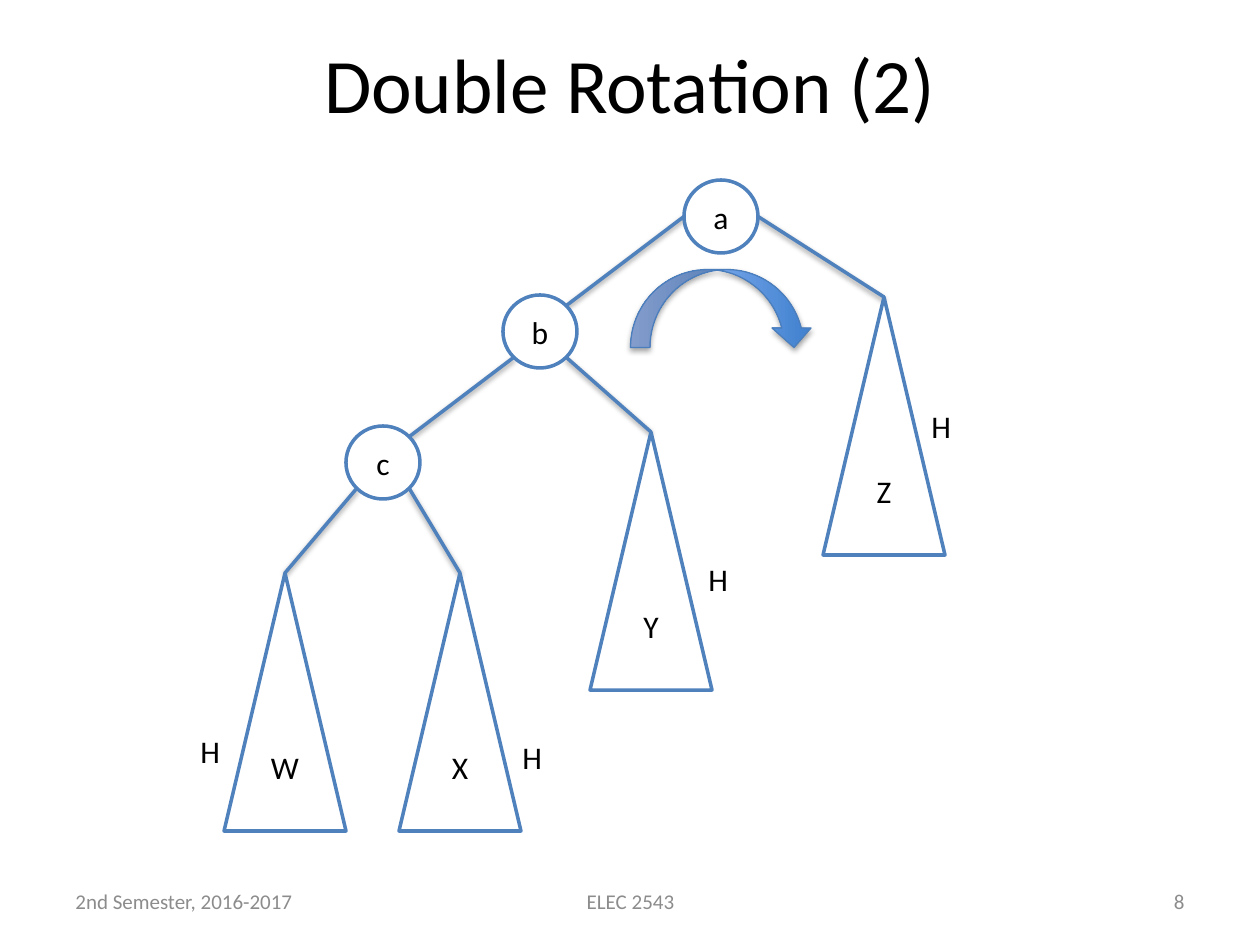
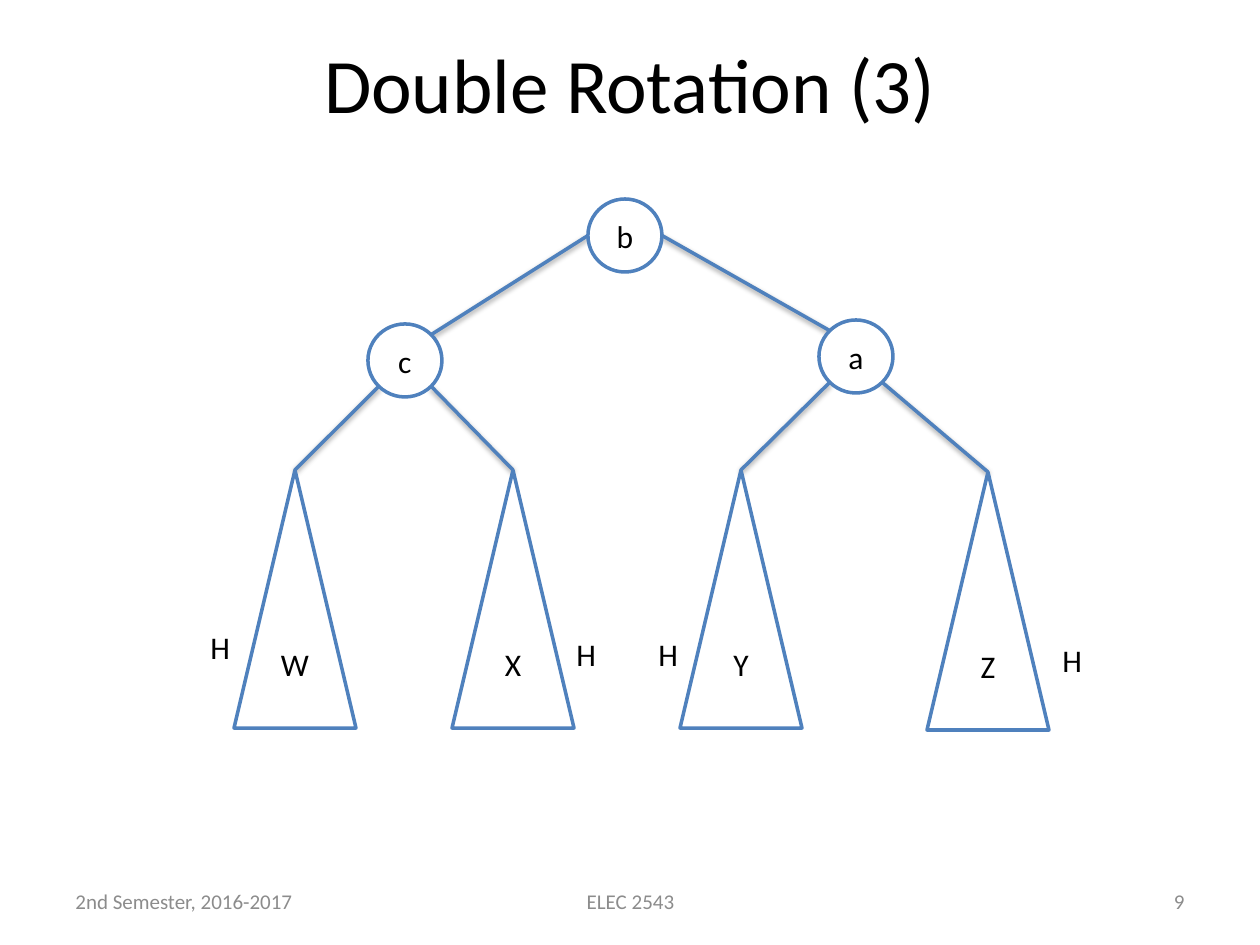
from math import sqrt

from lxml.etree import SubElement
from pptx import Presentation
from pptx.dml.color import RGBColor
from pptx.enum.shapes import MSO_CONNECTOR as CONNECTOR, MSO_SHAPE as SHAPE
from pptx.enum.text import MSO_ANCHOR as ANCHOR, MSO_AUTO_SIZE as AUTO_SIZE, PP_ALIGN as ALIGN
from pptx.oxml.ns import qn
from pptx.util import Emu, Pt

BLACK = RGBColor(0x00, 0x00, 0x00)
WHITE = RGBColor(0xFF, 0xFF, 0xFF)
GREY = RGBColor(0x8C, 0x8C, 0x8C)
BLUE = RGBColor(0x4F, 0x81, 0xBD)
ARROW_EDGE = RGBColor(0x4B, 0x7E, 0xBC)
ARROW_DARK = RGBColor(0x3F, 0x80, 0xCE)
ARROW_LIGHT = RGBColor(0xA4, 0xC4, 0xFF)
FONT = "Calibri"

SLIDE_SIZE = (1260, 945)
TITLE_BOX = (63, 4, 1134, 157)
FOOTER_TOP, FOOTER_HEIGHT = 876, 50
FOOTERS = [
    ("2nd Semester, 2016-2017", 63, 294, ALIGN.LEFT),
    ("ELEC 2543", 431, 399, ALIGN.CENTER),
    ("{page}", 903, 294, ALIGN.RIGHT),
]
NODE_SIZE = (74, 73)
SUBTREE_SIZE = (122, 258)
LABEL_HEIGHT = 50

TREES = [
    {
        "title": "Double Rotation (2)",
        "page": 8,
        "root": "a",
        "children": {"a": "bZ", "b": "cY", "c": "WX"},
        "places": {
            "a": (684, 180), "b": (503, 295), "c": (346, 426),
            "W": (224, 573), "X": (399, 573), "Y": (590, 432), "Z": (823, 297),
        },
        "heights": [(188, 726, 63), (510, 732, 45), (696, 554, 63), (919, 401, 63)],
        "rotation_arrow": (683, 217, 78, 183),
    },
    {
        "title": "Double Rotation (3)",
        "page": 9,
        "root": "b",
        "children": {"b": "ca", "c": "WX", "a": "YZ"},
        "places": {
            "b": (588, 199), "c": (368, 324), "a": (819, 320),
            "W": (234, 470), "X": (452, 470), "Y": (680, 470), "Z": (927, 472),
        },
        "heights": [(198, 622, 63), (564, 629, 45), (646, 629, 63), (1050, 635, 63)],
        "rotation_arrow": None,
    },
]


def px(*lengths):
    return [Emu(round(length * 914400 / 126)) for length in lengths]


def write(shape, words, size, color=BLACK, align=ALIGN.CENTER, anchor=ANCHOR.MIDDLE):
    frame = shape.text_frame
    frame.word_wrap = True
    frame.vertical_anchor = anchor
    paragraph = frame.paragraphs[0]
    paragraph.alignment = align
    run = paragraph.add_run()
    run.text = words
    run.font.name = FONT
    run.font.size = Pt(size)
    run.font.color.rgb = color
    return frame


def add_text(slide, box, words, size, **style):
    return write(slide.shapes.add_textbox(*px(*box)), words, size, **style)


def cast_shadow(shape, distance, opacity):
    properties = shape._element.spPr
    effects = properties.find(qn("a:effectLst"))
    if effects is None:
        effects = SubElement(properties, qn("a:effectLst"))
    shadow = SubElement(effects, qn("a:outerShdw"), blurRad="40000", dist=str(distance),
                        dir="5400000", rotWithShape="0")
    color = SubElement(shadow, qn("a:srgbClr"), val=str(BLACK))
    SubElement(color, qn("a:alpha"), val=str(opacity * 1000))


def is_subtree(name):
    return name.isupper()


def point_on_node(place, across, down):
    return tuple(start + size / 2 * (1 + shift)
                 for start, size, shift in zip(place, NODE_SIZE, (across, down)))


def add_edge(slide, tree, parent, child, side):
    diagonal = 1 / sqrt(2)
    across, down = (side, 0) if parent == tree["root"] else (side * diagonal, diagonal)
    start = point_on_node(tree["places"][parent], across, down)
    left, top = tree["places"][child]
    if is_subtree(child):
        end = (left + SUBTREE_SIZE[0] / 2, top)
    else:
        end = point_on_node((left, top), -side * diagonal, -diagonal)
    edge = slide.shapes.add_connector(CONNECTOR.STRAIGHT, *px(*start, *end))
    edge.line.color.rgb = BLUE
    edge.line.width = Pt(2)
    cast_shadow(edge, 20000, 38)


def add_member(slide, name, place):
    outline, size = (SHAPE.ISOSCELES_TRIANGLE, SUBTREE_SIZE) if is_subtree(name) else (SHAPE.OVAL, NODE_SIZE)
    member = slide.shapes.add_shape(outline, *px(*place, *size))
    member.shadow.inherit = False
    member.fill.solid()
    member.fill.fore_color.rgb = WHITE
    member.line.color.rgb = BLUE
    member.line.width = Pt(2)
    write(member, name, 18)


def add_rotation_arrow(slide, box):
    arrow = slide.shapes.add_shape(SHAPE.CURVED_LEFT_ARROW, *px(*box))
    arrow.rotation = 270
    arrow.shadow.inherit = False
    arrow.fill.gradient()
    arrow.fill.gradient_angle = 90
    for stop, color in zip(arrow.fill.gradient_stops, (ARROW_DARK, ARROW_LIGHT)):
        stop.color.rgb = color
    arrow.line.color.rgb = ARROW_EDGE
    arrow.line.width = Pt(0.75)
    cast_shadow(arrow, 23000, 35)


def add_tree_slide(deck, tree):
    slide = deck.slides.add_slide(deck.slide_layouts[6])
    add_text(slide, TITLE_BOX, tree["title"], 44)
    for words, left, width, align in FOOTERS:
        add_text(slide, (left, FOOTER_TOP, width, FOOTER_HEIGHT),
                 words.format(page=tree["page"]), 12, color=GREY, align=align)
    for parent, pair in tree["children"].items():
        for child, side in zip(pair, (-1, 1)):
            add_edge(slide, tree, parent, child, side)
    for name, place in tree["places"].items():
        add_member(slide, name, place)
    for left, top, width in tree["heights"]:
        label = add_text(slide, (left, top, width, LABEL_HEIGHT), "H", 18,
                         align=ALIGN.LEFT, anchor=ANCHOR.TOP)
        label.auto_size = AUTO_SIZE.SHAPE_TO_FIT_TEXT
    if tree["rotation_arrow"]:
        add_rotation_arrow(slide, tree["rotation_arrow"])


deck = Presentation()
deck.slide_width, deck.slide_height = px(*SLIDE_SIZE)
for tree in TREES:
    add_tree_slide(deck, tree)
deck.save("out.pptx")
